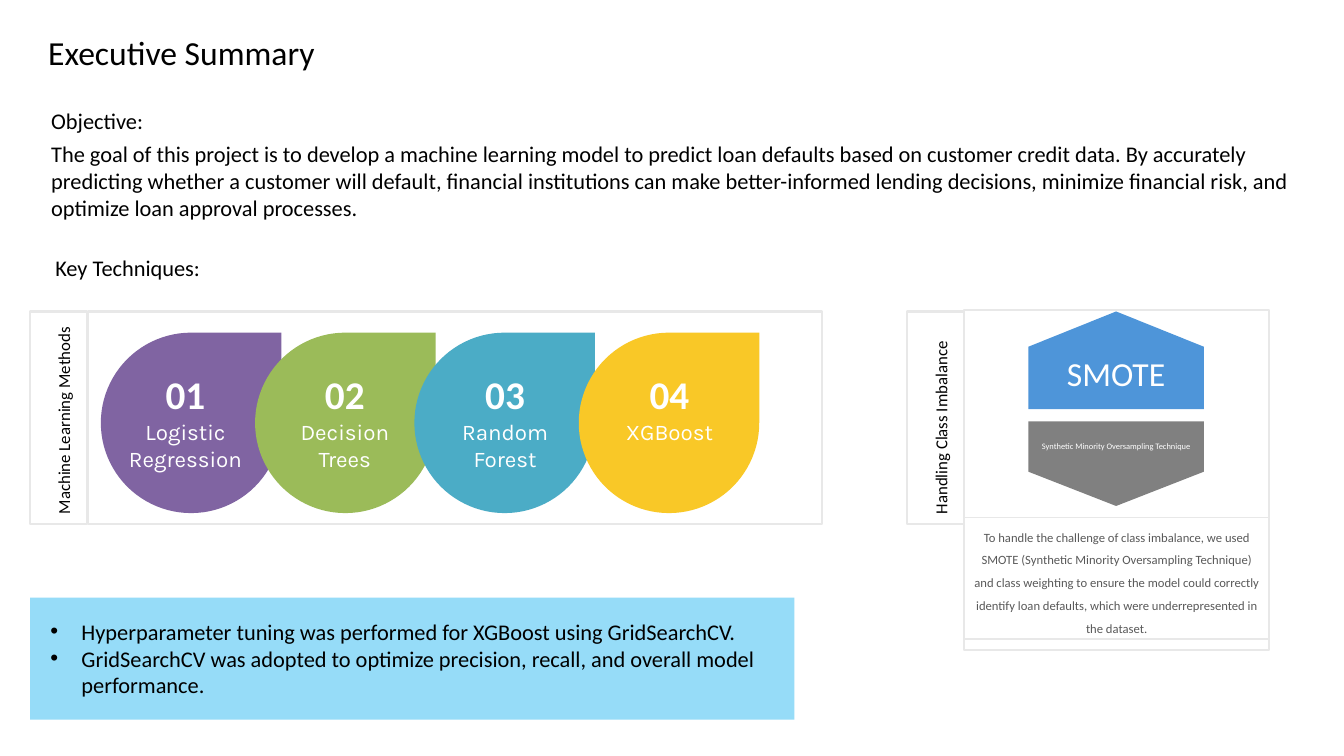
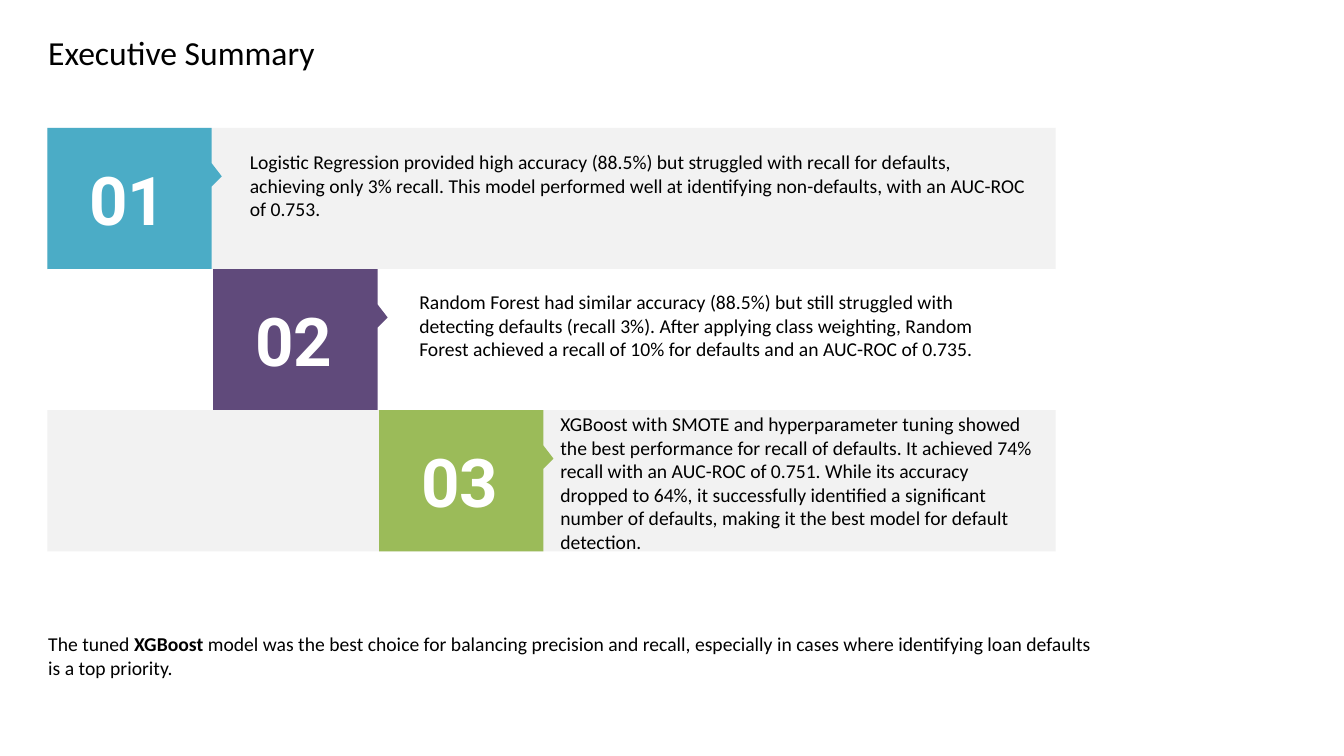
from lxml import etree
from pptx import Presentation
from pptx.dml.color import RGBColor
from pptx.enum.shapes import MSO_SHAPE
from pptx.enum.text import PP_ALIGN
from pptx.oxml.ns import qn
from pptx.util import Inches, Pt

RECTANGLE = MSO_SHAPE.RECTANGLE
TEARDROP = MSO_SHAPE.TEAR
LEFT, CENTER = PP_ALIGN.LEFT, PP_ALIGN.CENTER

COLORS = {
    "black": "000000", "white": "FFFFFF", "body_gray": "595959",
    "frame": "E8E8E8", "band": "F2F2F2", "gray": "808080",
    "purple": "8064A2", "dark_purple": "604A7B", "green": "9BBB59",
    "teal": "4BACC6", "yellow": "F9C827", "blue": "4E95D9", "sky": "96DCF8",
}
FORMATS = {
    "title": {"size": Pt(24), "name": "Calibri"},
    "lead": {"size": Pt(16), "name": "Calibri"},
    "body": {"size": Pt(14), "name": "Calibri"},
    "side": {"size": Pt(12), "name": "Calibri"},
    "note": {"size": Pt(9), "name": "Calibri"},
    "caption": {"size": Pt(6), "name": "Calibri"},
    "method_number": {"size": Pt(28), "name": "Calibri", "bold": True},
    "method": {"size": Pt(16), "name": "Karla"},
    "step_number": {"size": Pt(48), "name": "Roboto", "bold": True},
}

METHODS = [
    # teardrop left, label left, name, color
    (1.0, 1.16, "Logistic Regression", "purple"),
    (2.53, 2.74, "Decision Trees", "green"),
    (4.11, 4.33, "Random Forest", "teal"),
    (5.74, 5.96, "XGBoost", "yellow"),
]
FINDINGS = [
    # tile color, band color, text box, text
    ("teal", "band", (2.38, 1.44, 7.9, 0.81),
     "Logistic Regression provided high accuracy (88.5%) but struggled with "
     "recall for defaults, achieving only 3% recall. This model performed well "
     "at identifying non-defaults, with an AUC-ROC of 0.753."),
    ("dark_purple", "white", (4.06, 2.83, 5.72, 0.81),
     "Random Forest had similar accuracy (88.5%) but still struggled with "
     "detecting defaults (recall 3%). After applying class weighting, Random "
     "Forest achieved a recall of 10% for defaults and an AUC-ROC of 0.735."),
    ("green", "band", (5.46, 4.04, 4.96, 1.51),
     "XGBoost with SMOTE and hyperparameter tuning showed the best performance "
     "for recall of defaults. It achieved 74% recall with an AUC-ROC of 0.751. "
     "While its accuracy dropped to 64%, it successfully identified a "
     "significant number of defaults, making it the best model for default "
     "detection."),
]


def rgb(color):
    return RGBColor.from_string(COLORS[color])


def paint(shape, fill=None, line=None, line_width=1.5):
    shape.shadow.inherit = False
    if fill:
        shape.fill.solid()
        shape.fill.fore_color.rgb = rgb(fill)
    else:
        shape.fill.background()
    if line:
        shape.line.color.rgb = rgb(line)
        shape.line.width = Pt(line_width)
    else:
        shape.line.fill.background()


def add_box(slide, box, kind=RECTANGLE, **style):
    shape = slide.shapes.add_shape(kind, *map(Inches, box))
    paint(shape, **style)


def add_outline(slide, points, fill):
    start, *others = [(Inches(x), Inches(y)) for x, y in points]
    builder = slide.shapes.build_freeform(*start, scale=1.0)
    builder.add_line_segments(others, close=True)
    paint(builder.convert_to_shape(), fill=fill)


def add_bullet(paragraph):
    properties = paragraph._p.get_or_add_pPr()
    properties.set("marL", str(Inches(0.31)))
    properties.set("indent", str(-Inches(0.31)))
    etree.SubElement(properties, qn("a:buFont")).set("typeface", "Arial")
    etree.SubElement(properties, qn("a:buChar")).set("char", "•")


def add_text(slide, box, paragraphs, style, color="black", align=LEFT,
             bullets=False, space_before=0, line_spacing=None, rotation=0):
    """Each paragraph is a string, or a list of (text, extra format) runs."""
    text_box = slide.shapes.add_textbox(*map(Inches, box))
    text_box.rotation = rotation
    frame = text_box.text_frame
    frame.word_wrap = True
    for index, content in enumerate(paragraphs):
        paragraph = frame.add_paragraph() if index else frame.paragraphs[0]
        paragraph.alignment = align
        if line_spacing:
            paragraph.line_spacing = line_spacing
        if index and space_before:
            paragraph.space_before = Pt(space_before)
        if bullets:
            add_bullet(paragraph)
        runs = [(content, {})] if isinstance(content, str) else content
        for text, extra in runs:
            run = paragraph.add_run()
            run.text = text
            run.font.color.rgb = rgb(color)
            for attribute, value in {**FORMATS[style], **extra}.items():
                setattr(run.font, attribute, value)


def add_title_slide(presentation):
    slide = presentation.slides.add_slide(presentation.slide_layouts[6])
    add_text(slide, (0.38, 0.27, 7.01, 0.5), ["Executive Summary"], "title")
    return slide


def add_side_label(slide, left, text):
    """Framed tab with its text turned to read upwards."""
    top, width, height = 3.09, 0.56, 2.11
    add_box(slide, (left, top, width, height), line="frame")
    text_width, text_height = 2.24, 0.3
    center_x, center_y = left + 0.33, top + 0.99
    add_text(slide, (center_x - text_width / 2, center_y - text_height / 2,
                     text_width, text_height), [text], "side", rotation=270)


def add_methods(slide):
    for left, _, _, color in METHODS:
        add_box(slide, (left, 3.3, 1.79, 1.79), TEARDROP, fill=color)
    for number, (_, left, name, _) in enumerate(METHODS, 1):
        for top, height, text, style in (
                (3.62, 0.57, f"{number:02}", "method_number"),
                (4.1, 0.64, name, "method")):
            add_text(slide, (left, top, 1.36, height), [text], style,
                     "white", CENTER)
    add_box(slide, (0.87, 3.09, 7.28, 2.11), line="frame")
    add_side_label(slide, 0.3, "Machine Learning Methods")


def add_house(slide, tip, shoulder, base, fill):
    """Half hexagon whose tip lies above or below its flat base."""
    left, right = 10.2, 11.94
    add_outline(slide, [((left + right) / 2, tip), (right, shoulder),
                        (right, base), (left, base), (left, shoulder)], fill)


def add_imbalance(slide):
    add_box(slide, (9.56, 5.13, 3.03, 1.21), line="frame", line_width=0.75)
    add_text(slide, (9.56, 5.13, 3.03, 1.21), [
        "To handle the challenge of class imbalance, we used SMOTE (Synthetic "
        "Minority Oversampling Technique) and class weighting to ensure the "
        "model could correctly identify loan defaults, which were "
        "underrepresented in the dataset."],
        "note", "body_gray", CENTER, line_spacing=1.5)
    add_house(slide, 3.09, 3.44, 4.06, "blue")
    add_text(slide, (10.2, 3.45, 1.74, 0.5), ["SMOTE"], "title", "white", CENTER)
    add_house(slide, 5.02, 4.68, 4.18, "gray")
    add_text(slide, (10.07, 4.33, 2, 0.2),
             ["Synthetic Minority Oversampling Technique"],
             "caption", "white", CENTER)
    add_box(slide, (9.56, 3.08, 3.03, 3.37), line="frame")
    add_side_label(slide, 9, "Handling Class Imbalance")


def build_overview(presentation):
    slide = add_title_slide(presentation)
    add_text(slide, (0.41, 1.01, 12.65, 1.25), [
        "Objective:",
        "The goal of this project is to develop a machine learning model to "
        "predict loan defaults based on customer credit data. By accurately "
        "predicting whether a customer will default, financial institutions "
        "can make better-informed lending decisions, minimize financial risk, "
        "and optimize loan approval processes."], "lead", space_before=5)
    add_text(slide, (0.45, 2.47, 12.65, 0.37), ["Key Techniques:"], "lead")
    add_methods(slide)
    add_imbalance(slide)
    add_box(slide, (0.3, 5.93, 7.58, 1.21), fill="sky")
    add_text(slide, (0.4, 6.08, 7.48, 0.91), [
        "Hyperparameter tuning was performed for XGBoost using GridSearchCV.",
        "GridSearchCV was adopted to optimize precision, recall, and overall "
        "model performance."], "lead", bullets=True)


def add_step_tile(slide, left, top, height, number, color):
    """Numbered tile with a small pointer on its right edge."""
    right = left + 1.63
    add_outline(slide, [
        (right + 0.1, top + 0.48), (right, top + 0.35), (right, top),
        (left, top), (left, top + height), (right, top + height),
        (right, top + 0.58)], color)
    add_text(slide, (left + 0.21, top + 0.25, 1.18, 0.91), [f"{number:02}"],
             "step_number", "white", CENTER)


def build_findings(presentation):
    slide = add_title_slide(presentation)
    left, top, width, height, tile_step = 0.47, 1.27, 10, 1.4, 1.645
    for index, (color, band, text_box, text) in enumerate(FINDINGS):
        row_top = top + index * height
        add_box(slide, (left, row_top, width, height), fill=band)
        add_step_tile(slide, left + index * tile_step, row_top, height,
                      index + 1, color)
        add_text(slide, text_box, [text], "body")
    add_text(slide, (0.38, 6.22, 10.68, 0.57), [[
        ("The tuned ", {}),
        ("XGBoost", {"bold": True}),
        (" model was the best choice for balancing precision and recall, "
         "especially in cases where identifying loan defaults is a top "
         "priority.", {})]], "body")


def main():
    presentation = Presentation()
    presentation.slide_width = Inches(13.33)
    presentation.slide_height = Inches(7.5)
    build_overview(presentation)
    build_findings(presentation)
    presentation.save("out.pptx")


if __name__ == "__main__":
    main()
